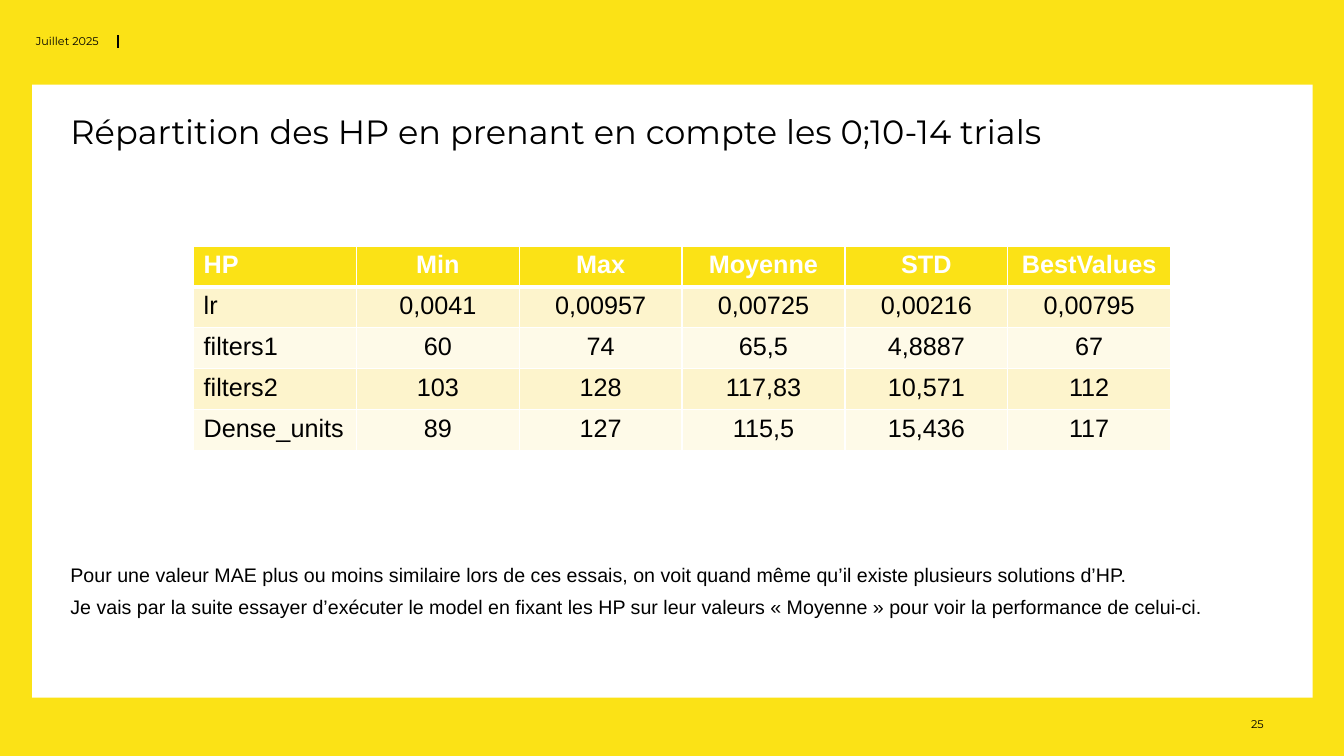
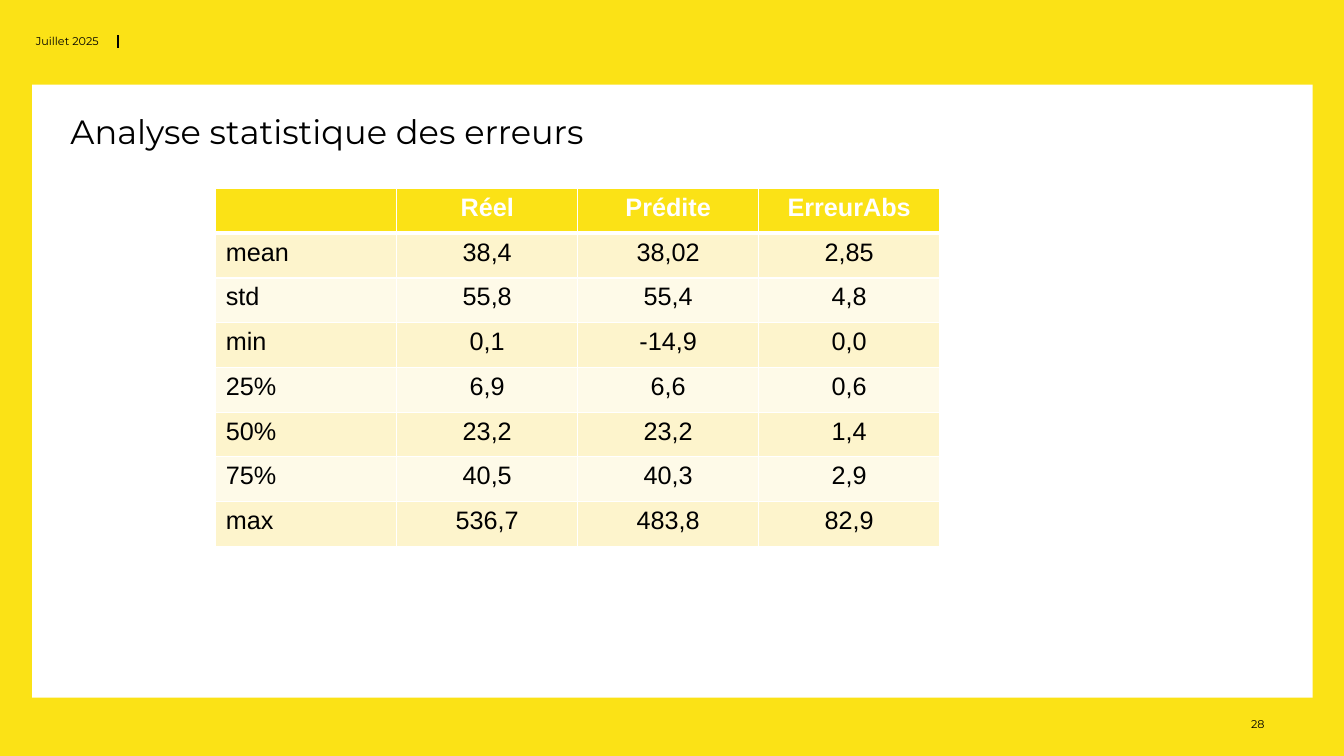
from lxml import etree
from pptx import Presentation
from pptx.dml.color import RGBColor
from pptx.enum.shapes import MSO_CONNECTOR, MSO_SHAPE
from pptx.enum.text import PP_ALIGN
from pptx.oxml.ns import qn
from pptx.util import Inches, Pt

YELLOW = RGBColor(0xFB, 0xE2, 0x16)
BAND_DARK = RGBColor(0xFD, 0xF4, 0xCC)
BAND_LIGHT = RGBColor(0xFE, 0xFA, 0xE8)
WHITE = RGBColor(0xFF, 0xFF, 0xFF)
BLACK = RGBColor(0x00, 0x00, 0x00)

RECTANGLE = MSO_SHAPE.RECTANGLE
STRAIGHT = MSO_CONNECTOR.STRAIGHT
LEFT, CENTER, RIGHT = PP_ALIGN.LEFT, PP_ALIGN.CENTER, PP_ALIGN.RIGHT

HEADING_FONT = "Montserrat"
BODY_FONT = "Arial"
WIDTH, HEIGHT = 13.33, 7.5
MARGIN, CONTENT_WIDTH = 0.6, 12.15
BLANK_LAYOUT = 6


def set_border(cell, side, points):
    """Draw one white border; side is L, R, T or B."""
    line = etree.SubElement(cell._tc.get_or_add_tcPr(), qn(f"a:ln{side}"), w=str(Pt(points)))
    fill = etree.SubElement(line, qn("a:solidFill"))
    etree.SubElement(fill, qn("a:srgbClr"), val=str(WHITE))


class Deck:
    """Holds the shared style and the slide being filled."""

    def __init__(self):
        self.presentation = Presentation()
        self.presentation.slide_width = Inches(WIDTH)
        self.presentation.slide_height = Inches(HEIGHT)
        self.slide = None

    def new_slide(self, title, number):
        layout = self.presentation.slide_layouts[BLANK_LAYOUT]
        self.slide = self.presentation.slides.add_slide(layout)
        self.panel(0, 0, WIDTH, HEIGHT, YELLOW)
        self.divider(1.17, 0.35, 0.48)
        self.panel(0.32, 0.84, 12.7, 6.08, WHITE)
        self.text(12.31, 7.07, 0.82, 0.27, [number], 8, HEADING_FONT)
        self.text(0.14, 0.29, 0.94, 0.27, ["Juillet 2025"], 8, HEADING_FONT, RIGHT)
        self.text(MARGIN, 1.1, CONTENT_WIDTH, 0.8, [title], 24, HEADING_FONT, line_spacing=0.9)

    def panel(self, left, top, width, height, color):
        panel = self.slide.shapes.add_shape(
            RECTANGLE, Inches(left), Inches(top), Inches(width), Inches(height))
        panel.shadow.inherit = False
        panel.fill.solid()
        panel.fill.fore_color.rgb = color
        panel.line.fill.background()

    def divider(self, x, top, bottom):
        divider = self.slide.shapes.add_connector(
            STRAIGHT, Inches(x), Inches(top), Inches(x), Inches(bottom))
        divider.line.color.rgb = BLACK
        divider.line.width = Pt(1)
        etree.SubElement(divider._element.spPr, qn("a:effectLst"))

    def style(self, paragraph, size, font, color=BLACK, bold=False, align=LEFT):
        paragraph.alignment = align
        for run in paragraph.runs:
            run.font.name = font
            run.font.size = Pt(size)
            run.font.bold = bold
            run.font.color.rgb = color

    def text(self, left, top, width, height, lines, size, font,
             align=LEFT, line_spacing=1.0, space_after=0):
        box = self.slide.shapes.add_textbox(
            Inches(left), Inches(top), Inches(width), Inches(height))
        frame = box.text_frame
        frame.word_wrap = True
        frame.text = "\n".join(lines)
        for paragraph in frame.paragraphs:
            paragraph.line_spacing = line_spacing
            paragraph.space_after = Pt(space_after)
            self.style(paragraph, size, font, align=align)

    def body(self, top, height, lines):
        self.text(MARGIN, top, CONTENT_WIDTH, height, lines, 14, BODY_FONT, space_after=6)

    def table(self, left, top, width, height, rows):
        """Add a table with a yellow header and bands of two shades."""
        table = self.slide.shapes.add_table(
            len(rows), len(rows[0]),
            Inches(left), Inches(top), Inches(width), Inches(height)).table
        table.horz_banding = False
        for row_index, values in enumerate(rows):
            is_header = row_index == 0
            if is_header:
                band = YELLOW
            else:
                band = BAND_DARK if row_index % 2 else BAND_LIGHT
            for column_index, value in enumerate(values):
                cell = table.cell(row_index, column_index)
                set_border(cell, "L", 1)
                set_border(cell, "R", 1)
                set_border(cell, "T", 3 if row_index == 1 else 1)
                set_border(cell, "B", 3 if is_header else 1)
                cell.fill.solid()
                cell.fill.fore_color.rgb = band
                cell.text_frame.text = value
                self.style(cell.text_frame.paragraphs[0], 18, BODY_FONT,
                           WHITE if is_header else BLACK, is_header,
                           CENTER if column_index else LEFT)

    def save(self):
        self.presentation.save("out.pptx")


def main():
    deck = Deck()

    deck.new_slide("Répartition des HP en prenant en compte les 0;10-14 trials", "25")
    deck.body(5.54, 0.93, [
        "Pour une valeur MAE plus ou moins similaire lors de ces essais, "
        "on voit quand même qu’il existe plusieurs solutions d’HP.",
        "Je vais par la suite essayer d’exécuter le model en fixant les HP sur leur "
        "valeurs « Moyenne » pour voir la performance de celui-ci.",
    ])
    deck.table(1.92, 2.44, 9.69, 2.03, [
        ["HP", "Min", "Max", "Moyenne", "STD", "BestValues"],
        ["lr", "0,0041", "0,00957", "0,00725", "0,00216", "0,00795"],
        ["filters1", "60", "74", "65,5", "4,8887", "67"],
        ["filters2", "103", "128", "117,83", "10,571", "112"],
        ["Dense_units", "89", "127", "115,5", "15,436", "117"],
    ])

    deck.new_slide("Analyse statistique des erreurs", "28")
    deck.table(2.14, 1.87, 7.18, 3.55, [
        ["", "Réel", "Prédite", "ErreurAbs"],
        ["mean", "38,4", "38,02", "2,85"],
        ["std", "55,8", "55,4", "4,8"],
        ["min", "0,1", "-14,9", "0,0"],
        ["25%", "6,9", "6,6", "0,6"],
        ["50%", "23,2", "23,2", "1,4"],
        ["75%", "40,5", "40,3", "2,9"],
        ["max", "536,7", "483,8", "82,9"],
    ])

    deck.save()


if __name__ == "__main__":
    main()
